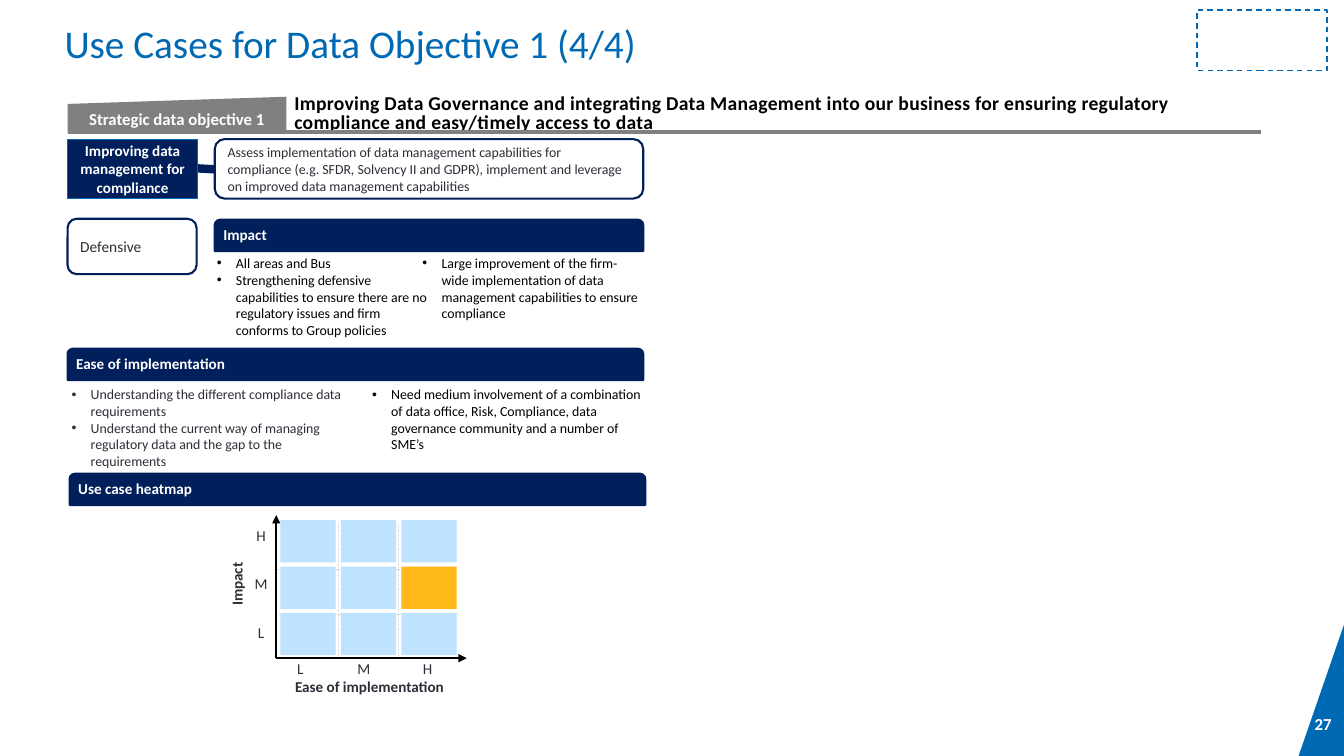
from dataclasses import dataclass
from typing import Optional

from lxml.etree import SubElement
from pptx import Presentation
from pptx.dml.color import RGBColor
from pptx.enum.dml import MSO_LINE_DASH_STYLE as Dash
from pptx.enum.shapes import MSO_CONNECTOR as Connector
from pptx.enum.shapes import MSO_SHAPE as Preset
from pptx.enum.text import MSO_ANCHOR as Anchor
from pptx.enum.text import MSO_AUTO_SIZE as AutoSize
from pptx.enum.text import PP_ALIGN as Align
from pptx.oxml.ns import qn
from pptx.util import Inches, Pt

COLORS = {
    "blue": "0069B4", "navy": "001F5B", "ink": "2E2E38", "black": "000000",
    "white": "FFFFFF", "grey": "808080", "pale": "D9D9D9", "sky": "BDE3FF",
    "amber": "FFB819",
}
Box = tuple[float, float, float, float]
DEFAULT_INSETS: Box = (0.1, 0.05, 0.1, 0.05)


@dataclass
class Style:
    size: float
    color: str
    bold: bool = False
    align: Align = Align.LEFT
    anchor: Anchor = Anchor.TOP
    insets: Box = DEFAULT_INSETS
    line_spacing: object = 1.0
    space_after: float = 0


@dataclass
class Panel:
    preset: Preset
    box: Box
    fill: Optional[str]
    line: Optional[str] = None
    width: float = 1.5
    dash: Optional[Dash] = None
    text: str = ""
    style: Optional[Style] = None


@dataclass
class Rule:
    start: tuple[float, float]
    end: tuple[float, float]
    color: str
    width: float
    dashed: bool = False
    arrow: bool = False


@dataclass
class BulletList:
    placeholder: int
    box: Box
    color: str
    items: list[str]


def rgb(name: str) -> RGBColor:
    return RGBColor.from_string(COLORS[name])


def assign(target, values: dict) -> None:
    for attribute, value in values.items():
        setattr(target, attribute, value)


def place(shape, box: Box) -> None:
    assign(shape, dict(zip(("left", "top", "width", "height"), map(Inches, box))))


def write(shape, lines: list[str], style: Style, wrap: bool = True) -> None:
    frame = shape.text_frame
    sides = ("margin_left", "margin_top", "margin_right", "margin_bottom")
    assign(frame, {"word_wrap": wrap, "auto_size": AutoSize.NONE,
                   "vertical_anchor": style.anchor,
                   **dict(zip(sides, map(Inches, style.insets)))})
    for index, line in enumerate(lines):
        paragraph = frame.add_paragraph() if index else frame.paragraphs[0]
        assign(paragraph, {"alignment": style.align, "line_spacing": style.line_spacing,
                           "space_before": Pt(0), "space_after": Pt(style.space_after)})
        run = paragraph.add_run()
        run.text = line
        assign(run.font, {"name": "Calibri", "size": Pt(style.size), "bold": style.bold})
        run.font.color.rgb = rgb(style.color)


def add_panel(slide, panel: Panel) -> None:
    shape = slide.shapes.add_shape(panel.preset, *map(Inches, panel.box))
    paint(shape, panel.fill, panel.line, panel.width, panel.dash)
    if panel.style:
        write(shape, [panel.text], panel.style)


def paint(shape, fill: Optional[str], line: Optional[str] = None,
          width: float = 1.5, dash: Optional[Dash] = None) -> None:
    shape.shadow.inherit = False
    if fill:
        shape.fill.solid()
        shape.fill.fore_color.rgb = rgb(fill)
    else:
        shape.fill.background()
    if line:
        shape.line.color.rgb = rgb(line)
        assign(shape.line, {"width": Pt(width), "dash_style": dash})
    else:
        shape.line.fill.background()


def add_rule(slide, rule: Rule) -> None:
    connector = slide.shapes.add_connector(
        Connector.STRAIGHT, *map(Inches, rule.start + rule.end))
    connector.line.color.rgb = rgb(rule.color)
    connector.line.width = Pt(rule.width)
    if rule.dashed:
        connector.line.dash_style = Dash.DASH
    if rule.arrow:
        SubElement(connector.line._get_or_add_ln(), qn("a:tailEnd"), type="triangle")
    SubElement(connector._element.spPr, qn("a:effectLst"))


def add_label(slide, text: str, box: Box, style: Style,
              rotation: float = 0, wrap: bool = True):
    label = slide.shapes.add_textbox(*map(Inches, box))
    label.rotation = rotation
    write(label, [text], style, wrap)
    return label


def fill_list(slide, bullets: BulletList) -> None:
    body = slide.placeholders[bullets.placeholder]
    place(body, bullets.box)
    write(body, bullets.items, Style(9.9, bullets.color, insets=(0, 0.05, 0, 0.05)))
    for paragraph in body.text_frame.paragraphs:
        properties = paragraph._p.get_or_add_pPr()
        properties.set("marL", str(Inches(0.19)))
        properties.set("indent", str(-Inches(0.19)))
        SubElement(properties, qn("a:buFont"), typeface="Arial")
        SubElement(properties, qn("a:buChar"), char="•")


def add_heatmap(slide) -> None:
    for y, left in ((5.65, 2.74), (6.09, 2.77)):
        add_rule(slide, Rule((left, y), (left + 1.78, y), "pale", 0.25, dashed=True))
    for x in (3.35, 3.95):
        add_rule(slide, Rule((x, 6.53), (x, 5.2), "pale", 0.25, dashed=True))
    for end in ((2.74, 5.11), (4.63, 6.53)):
        add_rule(slide, Rule((2.74, 6.53), end, "black", 1.25, arrow=True))

    format_values = {"align": Align.CENTER, "insets": (0, 0.04, 0, 0),
                     "line_spacing": 0.85, "space_after": 5.4}
    level = Style(10.8, "ink", **format_values)
    axis = Style(10.8, "ink", bold=True, **format_values)
    add_label(slide, "Ease of implementation", (2.68, 6.71, 1.97, 0.19), axis)
    add_label(slide, "Impact", (1.61, 5.7, 1.46, 0.19), axis, rotation=270)
    for index, (ease, impact) in enumerate(zip("LMH", "HML")):
        add_label(slide, impact, (2.46, 5.21 + 0.48 * index, 0.26, 0.19), level)
        add_label(slide, ease, (2.85 + 0.63 * index, 6.53, 0.26, 0.19), level)
        for column, column_ease in enumerate("LMH"):
            color = "amber" if (impact, column_ease) == ("M", "H") else "sky"
            cell = (2.78 + 0.6 * column, 5.16 + 0.46 * index, 0.55, 0.42)
            add_panel(slide, Panel(Preset.RECTANGLE, cell, color))


def add_page_corner(slide) -> None:
    outline = slide.shapes.build_freeform(Inches(12.88), Inches(7.5))
    outline.add_line_segments([(Inches(13.34), Inches(6.17)), (Inches(13.34), Inches(7.5))])
    paint(outline.convert_to_shape(), "blue")
    add_label(slide, "27", (12.94, 7.03, 0.4, 0.3), Style(12, "white", True), wrap=False)


def main() -> None:
    deck = Presentation()
    assign(deck, {"slide_width": Inches(13.33), "slide_height": Inches(7.5)})
    slide = deck.slides.add_slide(deck.slide_layouts.get_by_name("Comparison"))
    add_page_corner(slide)

    place(slide.shapes.title, (0.64, 0.24, 12, 0.51))
    write(slide.shapes.title, ["Use Cases for Data Objective 1 (4/4)"],
          Style(28, "blue", insets=(0, 0, 0, 0.08), line_spacing=0.9))

    add_rule(slide, Rule((1.95, 1.67), (2.13, 1.68), "navy", 6))
    section = Style(10.8, "white", True, insets=(0.07, 0.04, 0.04, 0.04), space_after=0.9)
    for text, box in (("Impact", (2.13, 2.18, 4.25, 0.31)),
                      ("Ease of implementation", (0.67, 3.46, 5.71, 0.31)),
                      ("Use case heatmap", (0.69, 4.7, 5.71, 0.31))):
        add_panel(slide, Panel(Preset.ROUND_2_SAME_RECTANGLE, box, "navy", "navy",
                               text=text, style=section))

    for panel in (
        Panel(Preset.ROUNDED_RECTANGLE, (2.13, 1.38, 4.25, 0.59), "white", "navy",
              text="Assess implementation of data management capabilities for compliance (e.g. SFDR, Solvency II and GDPR), implement and leverage on improved data management capabilities",
              style=Style(9.9, "ink", anchor=Anchor.MIDDLE, insets=(0.1, 0.05, 0.13, 0.05))),
        Panel(Preset.RECTANGLE, (0.67, 1.38, 1.29, 0.59), "navy", "blue", 0.75,
              text="Improving data management for compliance",
              style=Style(10.8, "white", True, Align.CENTER, Anchor.MIDDLE, (0.07,) * 4)),
        Panel(Preset.ROUNDED_RECTANGLE, (0.67, 2.17, 1.28, 0.55), "white", "navy",
              text="Defensive", style=Style(11, "ink", anchor=Anchor.MIDDLE)),
        Panel(Preset.RECTANGLE, (11.87, 0.1, 1.29, 0.6), None, "blue", 1, Dash.DASH),
        Panel(Preset.FLOWCHART_MANUAL_INPUT, (0.67, 0.96, 2.17, 0.36), "grey",
              text="Strategic data objective 1",
              style=Style(12, "white", True, Align.CENTER, Anchor.MIDDLE)),
    ):
        add_panel(slide, panel)

    for bullets in (
        BulletList(1, (2.15, 2.48, 2.11, 0.93), "black", [
            "All areas and Bus",
            "Strengthening defensive capabilities to ensure there are no regulatory issues and firm conforms to Group policies"]),
        BulletList(2, (4.19, 2.48, 2.19, 0.77), "black", [
            "Large improvement of the firm-wide implementation of data management capabilities to ensure compliance"]),
        BulletList(3, (0.71, 3.78, 2.84, 0.93), "ink", [
            "Understanding the different compliance data requirements",
            "Understand the current way of managing regulatory data and the gap to the requirements"]),
        BulletList(4, (3.69, 3.78, 2.69, 0.77), "black", [
            "Need medium involvement of a combination of data office, Risk, Compliance, data governance community and a number of SME’s"]),
    ):
        fill_list(slide, bullets)

    add_heatmap(slide)
    objective = add_label(
        slide, "Improving Data Governance and integrating Data Management into our business for ensuring regulatory compliance and easy/timely access to data",
        (2.84, 0.98, 9.67, 0.31),
        Style(14, "black", True, anchor=Anchor.MIDDLE, insets=(0.08, 0.1, 0.08, 0.1),
              line_spacing=Pt(13.5)))
    objective.text_frame.paragraphs[0].runs[0].font._rPr.set("spc", "20")
    add_rule(slide, Rule((0.67, 1.31), (12.51, 1.31), "grey", 2.25))
    deck.save("out.pptx")


if __name__ == "__main__":
    main()
